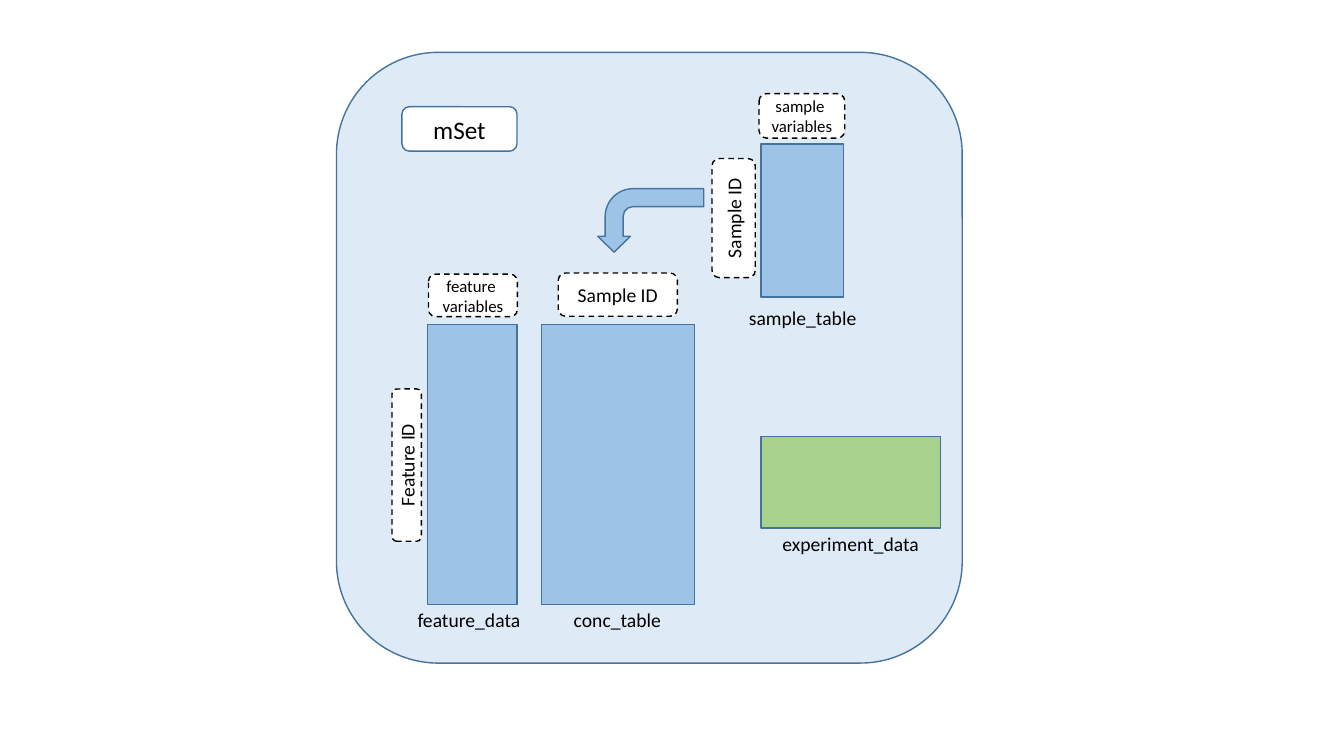
from dataclasses import dataclass
from typing import Optional

from pptx import Presentation
from pptx.dml.color import RGBColor
from pptx.enum.dml import MSO_LINE
from pptx.enum.shapes import MSO_SHAPE
from pptx.enum.text import MSO_ANCHOR, PP_ALIGN
from pptx.oxml.ns import qn
from pptx.util import Cm, Pt

RECT = MSO_SHAPE.RECTANGLE
ROUND = MSO_SHAPE.ROUNDED_RECTANGLE
BENT_ARROW = MSO_SHAPE.BENT_ARROW
DASH = MSO_LINE.DASH
MIDDLE = MSO_ANCHOR.MIDDLE
CENTER = PP_ALIGN.CENTER

PALE_BLUE = RGBColor(0xDE, 0xEB, 0xF7)
BLUE = RGBColor(0x9D, 0xC3, 0xE6)
DARK_BLUE = RGBColor(0x43, 0x73, 0x9E)
GREEN = RGBColor(0xA9, 0xD1, 0x8E)
WHITE = RGBColor(0xFF, 0xFF, 0xFF)
BLACK = RGBColor(0x00, 0x00, 0x00)

FONT = "Calibri"
LABEL_H = 0.76
TABLE_TOP, TABLE_H = 8.18, 7.06
TABLE_BOTTOM = TABLE_TOP + TABLE_H
ID_W, ID_H = 3.0, 1.09


@dataclass(frozen=True)
class Box:
    """A shape with its place in centimetres, its look and its text."""
    left: float
    top: float
    width: float
    height: float
    fill: Optional[RGBColor] = BLUE
    line: Optional[RGBColor] = DARK_BLUE
    kind: MSO_SHAPE = RECT
    text: str = ""
    size: int = 14
    rotation: int = 0
    dashed: bool = False


def key(left: float, top: float, width: float, height: float, text: str,
        size: int = 14, rotation: int = 0) -> Box:
    """Describe a dashed white box naming the rows or columns of a table."""
    return Box(left, top, width, height, WHITE, BLACK, ROUND, text, size,
               rotation, True)


def caption(left: float, top: float, text: str, width: float = 3.38) -> Box:
    """Describe the unfilled name under a table."""
    return Box(left, top, width, LABEL_H, None, None, ROUND, text)


def write_text(sp, box: Box) -> None:
    """Put centred black text in a shape."""
    tf = sp.text_frame
    tf.text = box.text
    tf.word_wrap = True
    tf.vertical_anchor = MIDDLE
    tf.margin_left = tf.margin_right = Cm(0)
    for p in tf.paragraphs:
        p.alignment = CENTER
        for r in p.runs:
            r.font.name = FONT
            r.font.size = Pt(box.size)
            r.font.color.rgb = BLACK


def draw_box(shapes, box: Box):
    """Add one box to the slide and return its shape."""
    sp = shapes.add_shape(box.kind, Cm(box.left), Cm(box.top),
                          Cm(box.width), Cm(box.height))
    sp.shadow.inherit = False
    sp.rotation = box.rotation
    if box.fill is None:
        sp.fill.background()
    else:
        sp.fill.solid()
        sp.fill.fore_color.rgb = box.fill
    if box.line is None:
        sp.line.fill.background()
    else:
        sp.line.color.rgb = box.line
        sp.line.width = Pt(1)
        if box.dashed:
            sp.line.dash_style = DASH
    if box.text:
        write_text(sp, box)
    return sp


def draw_arrow(shapes) -> None:
    """Add the bent arrow from the sample table to the conc table."""
    sp = draw_box(shapes, Box(15.6, 4.22, 1.6, 2.67, kind=BENT_ARROW,
                              rotation=270))
    for i, value in enumerate((0.283, 0.258, 0.25, 0.438)):
        sp.adjustments[i] = value
    sp.element.spPr.find(qn("a:xfrm")).set("flipH", "1")


CONTAINER_AND_TABLES = (
    Box(8.48, 1.32, 15.77, 15.39, PALE_BLUE, kind=ROUND),
    Box(13.64, TABLE_TOP, 3.86, TABLE_H),
    Box(18.29, 4.52, 3.86, 2.08, rotation=90),
    Box(10.77, TABLE_TOP, 2.26, TABLE_H),
    Box(19.18, 11, 4.52, 2.31, GREEN),
)
LABELS = (
    key(14.07, 6.88, ID_W, ID_H, "Sample ID"),
    key(8.33, 11.35, 3.84, 0.74, "Feature ID", rotation=270),
    caption(18.54, 7.62, "sample_table"),
    caption(13.87, TABLE_BOTTOM, "conc_table"),
    caption(10.13, TABLE_BOTTOM, "feature_data"),
    caption(19.18, 13.31, "experiment_data", 4.52),
    key(19.13, 2.36, 2.16, 1.12, "sample \nvariables", 12),
    key(10.8, 6.91, 2.24, 1.07, "feature \nvariables", 12),
    key(16.99, 4.95, ID_W, ID_H, "Sample ID", rotation=270),
    Box(10.13, 2.69, 2.9, 1.12, WHITE, kind=ROUND, text="mSet", size=18),
)

prs = Presentation()
prs.slide_width, prs.slide_height = Cm(33.87), Cm(19.05)
s = prs.slides.add_slide(prs.slide_layouts[6])
for item in CONTAINER_AND_TABLES:
    draw_box(s.shapes, item)
draw_arrow(s.shapes)
for item in LABELS:
    draw_box(s.shapes, item)
prs.save("out.pptx")
